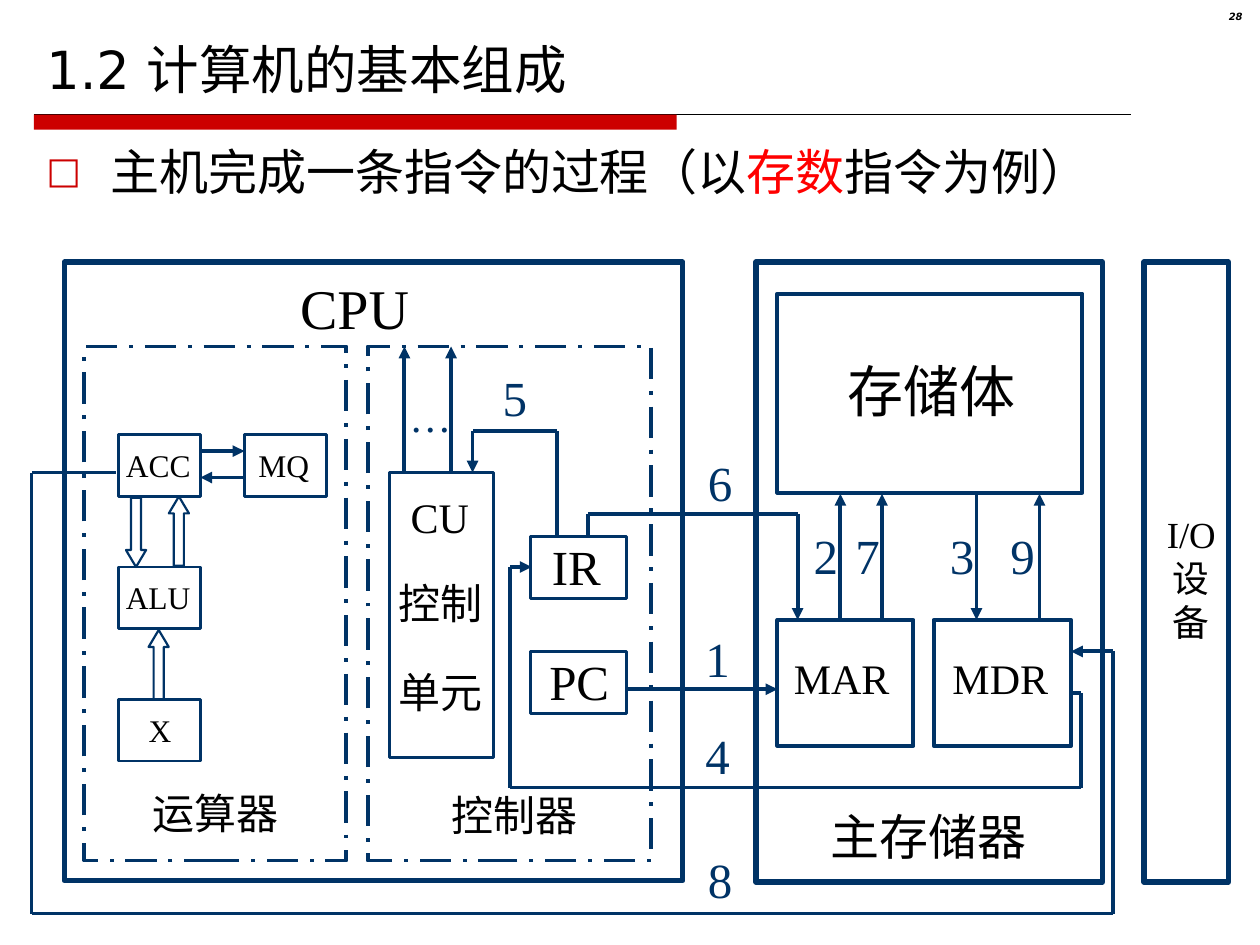
from itertools import pairwise
from lxml.etree import SubElement
from pptx import Presentation
from pptx.dml.color import RGBColor
from pptx.enum.dml import MSO_LINE
from pptx.enum.shapes import MSO_CONNECTOR, MSO_SHAPE
from pptx.enum.text import MSO_ANCHOR, MSO_AUTO_SIZE, PP_ALIGN
from pptx.oxml.ns import qn
from pptx.util import Pt

PX = 9144  # 100 px to the inch
COLORS = {"navy": "003366", "black": "000000", "bar": "CC0000", "red": "FF0000"}
SANS, SERIF, LATO = "DejaVu Sans", "Times New Roman", "Lato"
LEFT, CENTER, RIGHT = PP_ALIGN.LEFT, PP_ALIGN.CENTER, PP_ALIGN.RIGHT

presentation = Presentation()
presentation.slide_width, presentation.slide_height = 1000 * PX, 750 * PX
slide = presentation.slides.add_slide(presentation.slide_layouts[6])
shapes = slide.shapes


def add_text(box, paragraphs, size, font, align=LEFT, padded=True, wrap=True, grow=True):
    """Add a text box; each paragraph is a list of (text, color name) runs."""
    text_box = shapes.add_textbox(*[value * PX for value in box])
    frame = text_box.text_frame
    frame.word_wrap = wrap
    frame.auto_size = MSO_AUTO_SIZE.SHAPE_TO_FIT_TEXT if grow else MSO_AUTO_SIZE.NONE
    if not padded:
        frame.margin_left = frame.margin_right = frame.margin_top = frame.margin_bottom = 0
    for index, runs in enumerate(paragraphs):
        paragraph = frame.add_paragraph() if index else frame.paragraphs[0]
        paragraph.alignment = align
        for text, color in runs:
            run = paragraph.add_run()
            run.text = text
            run.font.size = Pt(size)
            run.font.name = font
            run.font.color.rgb = RGBColor.from_string(COLORS[color])
    return frame


def add_route(points, width=2.25, color="navy", arrow=True):
    """Join the points with straight lines, the last one ending in an arrowhead."""
    for start, end in pairwise(points):
        connector = shapes.add_connector(
            MSO_CONNECTOR.STRAIGHT, *[value * PX for value in start + end])
        connector.line.width = Pt(width)
        connector.line.color.rgb = RGBColor.from_string(COLORS[color])
        if arrow and end == points[-1]:
            line = connector.line._get_or_add_ln()
            SubElement(line, qn("a:tailEnd"), type="triangle")
        SubElement(connector._element.spPr, qn("a:effectLst"))


# Heading
add_route([(27, 91), (898, 91)], 0.75, "black", arrow=False)
bar = shapes.add_shape(MSO_SHAPE.RECTANGLE, 27 * PX, 91 * PX, 510 * PX, 12 * PX)
bar.shadow.inherit = False
bar.fill.solid()
bar.fill.fore_color.rgb = RGBColor.from_string(COLORS["bar"])
bar.line.fill.background()

title = add_text((27, 13, 945, 71), [[("1.2 计算机的基本组成", "black")]], 30, SANS, grow=False)
title.vertical_anchor = MSO_ANCHOR.BOTTOM

number = add_text((937, 5, 59, 23), [[("28", "black")]], 5.7, SANS, RIGHT, grow=False).paragraphs[0]
number.line_spacing = 0.8
number.runs[0].font.bold = number.runs[0].font.italic = True

topic = add_text((27, 107, 945, 71),
                 [[("主机完成一条指令的过程（以", "black"), ("存数", "red"), ("指令为例）", "black")]],
                 28, SANS, grow=False).paragraphs[0]
topic.space_before = Pt(7)
properties = topic._element.get_or_add_pPr()
properties.set("marL", str(51 * PX))
properties.set("indent", str(-51 * PX))
bullet_color = SubElement(properties, qn("a:buClr"))
SubElement(bullet_color, qn("a:srgbClr"), val=COLORS["bar"])
SubElement(properties, qn("a:buSzPct"), val="75000")
SubElement(properties, qn("a:buFont"), typeface=SANS)
SubElement(properties, qn("a:buChar"), char="□")

# Blocks: left, top, width, height, line width, dash
DASH = MSO_LINE.LONG_DASH_DOT
blocks = [
    (51, 208, 491, 491, 3, None),      # CPU
    (600, 208, 275, 492, 3, None),     # main memory
    (908, 208, 67, 492, 3, None),      # I/O devices
    (67, 275, 208, 408, 2.25, DASH),   # arithmetic unit
    (292, 275, 225, 408, 2.25, DASH),  # controller
    (617, 233, 242, 158, 2.25, None),  # storage
    (617, 492, 108, 100, 2.25, None),  # MAR
    (741, 492, 109, 100, 2.25, None),  # MDR
    (309, 375, 83, 226, 1.64, None),   # CU
    (421, 426, 76, 49, 1.64, None),    # IR
    (421, 517, 76, 49, 1.64, None),    # PC
    (194, 345, 65, 49, 1.64, None),    # MQ
] + [(94, top, 65, 49, 1.64, None) for top in (345, 450, 555)]  # ACC, ALU, X
hollow_arrows = [
    (MSO_SHAPE.DOWN_ARROW, 100, 395),
    (MSO_SHAPE.UP_ARROW, 134, 394),
    (MSO_SHAPE.UP_ARROW, 118, 500),
]
outlines = [(MSO_SHAPE.RECTANGLE, *block) for block in blocks]
outlines += [(kind, left, top, 16, 55, 1.25, None) for kind, left, top in hollow_arrows]
for kind, left, top, width, height, line_width, dash in outlines:
    shape = shapes.add_shape(kind, left * PX, top * PX, width * PX, height * PX)
    shape.shadow.inherit = False
    shape.fill.background()
    shape.line.color.rgb = RGBColor.from_string(COLORS["navy"])
    shape.line.width = Pt(line_width)
    if dash:
        shape.line.dash_style = dash
    if kind != MSO_SHAPE.RECTANGLE:
        shape.adjustments[0] = 0.5
        shape.adjustments[1] = 0.84

# Data paths
routes = [
    [(498, 547), (617, 547)],
    [(667, 492), (667, 392)],
    [(775, 392), (775, 492)],
    [(850, 550), (858, 550), (858, 625), (405, 625), (405, 450), (422, 450)],
    [(442, 425), (442, 342), (375, 342), (375, 375)],
    [(467, 425), (467, 408), (633, 408), (633, 492)],
    [(700, 492), (700, 392)],
    [(92, 375), (25, 375), (25, 725), (883, 725), (883, 517), (850, 517)],
    [(825, 492), (825, 392)],
    [(321, 375), (321, 275)],
    [(358, 375), (358, 275)],
    [(159, 358), (194, 358)],
    [(194, 379), (159, 379)],
]
for route in routes:
    add_route(route)

# Step numbers 1 to 9
step_corners = [(550, 494), (636, 412), (744, 412), (550, 571), (389, 287),
                (552, 354), (669, 412), (552, 669), (792, 412)]
for step, (left, top) in enumerate(step_corners, start=1):
    add_text((left, top, 39, 57), [[(str(step), "navy")]], 28, SERIF, CENTER, wrap=False)

# Block names
names = [
    ("CU", 326, 390, 99, 40, 24, SERIF),
    ("控制", 316, 458, 103, 40, 24, LATO),
    ("单元", 316, 529, 90, 40, 24, LATO),
    ("主存储器", 659, 640, 185, 47, 28, LATO),
    ("MDR", 756, 518, 100, 40, 24, SERIF),
    ("MAR", 630, 518, 109, 40, 24, SERIF),
    ("PC", 436, 517, 114, 47, 28, SERIF),
    ("IR", 438, 426, 104, 47, 28, SERIF),
    ("控制器", 358, 627, 142, 40, 24, LATO),
    ("运算器", 121, 625, 136, 40, 24, LATO),
    ("MQ", 205, 354, 72, 30, 18, SERIF),
    ("ACC", 100, 354, 93, 30, 18, SERIF),
    ("X", 118, 564, 46, 30, 18, SERIF),
]
for name, *box, size, font in names:
    add_text(box, [[(name, "black")]], size, font, padded=False)

centered_names = [
    (["CPU"], 233, 217, 97, 53, 32, SERIF),
    (["ALU"], 95, 459, 61, 30, 18, SERIF),
    (["I/O", "设", "备"], 921, 406, 49, 105, 21, SERIF),
    (["存储体"], 653, 283, 173, 54, 32, LATO),
]
for lines, *box, size, font in centered_names:
    add_text(box, [[(line, "black")] for line in lines], size, font, CENTER, padded=False, wrap=False)
add_text((315, 305, 53, 50), [[("…", "navy")]], 24, SERIF, wrap=False)

presentation.save("out.pptx")
